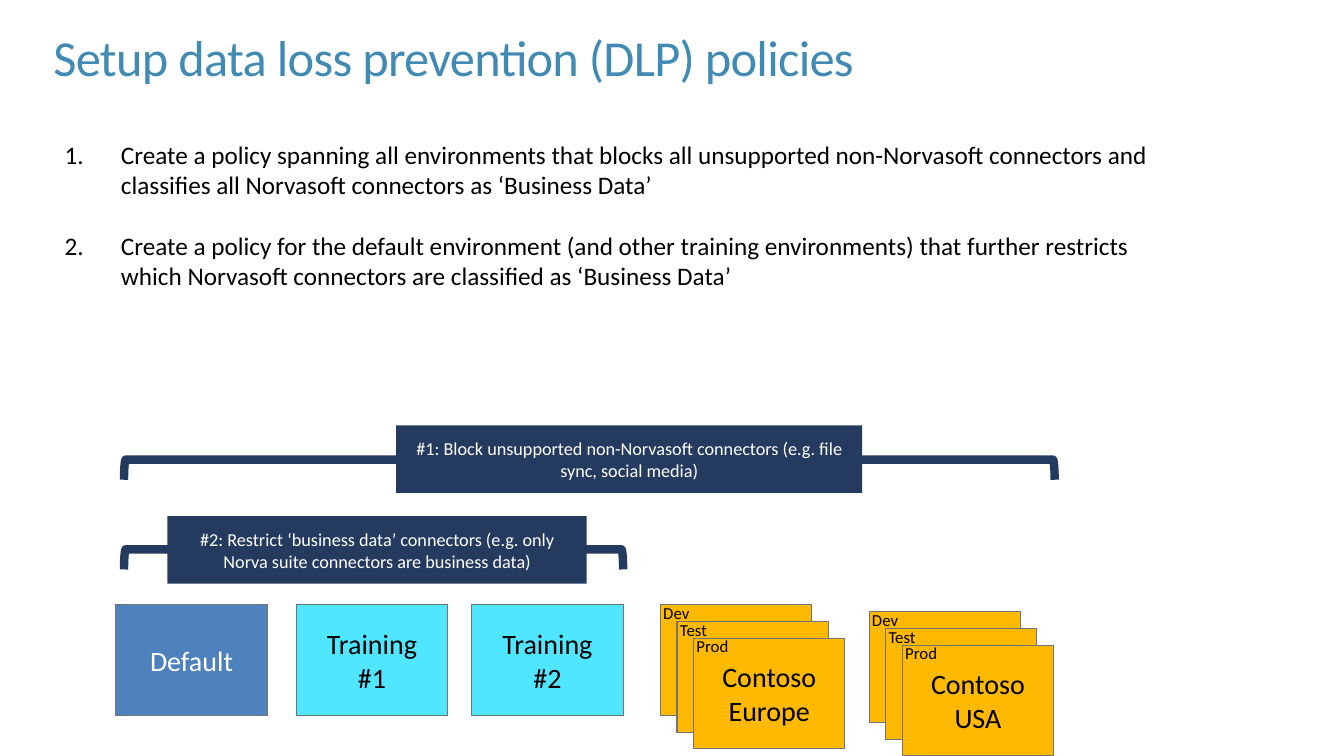
from lxml.etree import SubElement
from pptx import Presentation
from pptx.dml.color import RGBColor
from pptx.enum.shapes import MSO_SHAPE
from pptx.enum.text import MSO_ANCHOR, PP_ALIGN
from pptx.oxml.ns import qn
from pptx.util import Inches, Pt

FONT = "Calibri"
BLACK, WHITE, GREY = "000000", "FFFFFF", "737373"
NAVY, BLUE, CYAN, AMBER = "243A5E", "4F81BD", "50E6FF", "FFB900"
BOX_W, BOX_H = 1.5, 1.1
ROW_TOP = 6
STACK_STEP = 0.165


def rgb(value):
    return RGBColor.from_string(value)


def format_text(p, size, color):
    for r in p.runs:
        r.font.name = FONT
        r.font.size = Pt(size)
        r.font.color.rgb = rgb(color)


def set_margins(tf, x, y):
    tf.margin_left = tf.margin_right = Inches(x)
    tf.margin_top = tf.margin_bottom = Inches(y)


def add_title(s, text):
    title = s.shapes.title
    title.left, title.top = Inches(0.53), Inches(0.25)
    title.width, title.height = Inches(12.35), Inches(0.61)
    tf = title.text_frame
    tf.text = text
    tf.vertical_anchor = MSO_ANCHOR.MIDDLE
    set_margins(tf, 0, 0)
    p = tf.paragraphs[0]
    p.alignment = PP_ALIGN.LEFT
    format_text(p, 36, "418AB3")
    p.runs[0].font._element.set("spc", "-50")


def add_text(s, x, y, w, h):
    tf = s.shapes.add_textbox(Inches(x), Inches(y), Inches(w), Inches(h)).text_frame
    tf.word_wrap = True
    return tf


def add_numbered_list(s, items):
    tf = add_text(s, 0.64, 1.38, 10.78, 1.82)
    set_margins(tf, 0, 0)
    for i, item in enumerate(items):
        p = tf.add_paragraph() if i else tf.paragraphs[0]
        p.text = item
        pPr = p._p.get_or_add_pPr()
        pPr.set("marL", str(Inches(0.56)))
        pPr.set("indent", str(-Inches(0.56)))
        SubElement(pPr, qn("a:buFont"), typeface="+mj-lt")
        SubElement(pPr, qn("a:buAutoNum"), type="arabicPeriod")
        if i:
            p.space_before = Pt(22)
        format_text(p, 18, BLACK)


def add_box(s, x, y, fill, text="", color=BLACK, w=BOX_W, h=BOX_H, size=20, line=GREY):
    sp = s.shapes.add_shape(MSO_SHAPE.RECTANGLE, Inches(x), Inches(y), Inches(w), Inches(h))
    sp.shadow.inherit = False
    sp.fill.solid()
    sp.fill.fore_color.rgb = rgb(fill)
    if line:
        sp.line.color.rgb = rgb(line)
        sp.line.width = Pt(0.75)
    else:
        sp.line.fill.background()
    if text:
        tf = sp.text_frame
        tf.text = text
        tf.word_wrap = True
        tf.vertical_anchor = MSO_ANCHOR.MIDDLE
        set_margins(tf, 0.2, 0.16)
        tf.paragraphs[0].alignment = PP_ALIGN.CENTER
        format_text(tf.paragraphs[0], size, color)


def add_stack(s, x, y, region):
    stages = [(stage, i * STACK_STEP) for i, stage in enumerate(("Dev", "Test", "Prod"))]
    for stage, shift in stages:
        add_box(s, x + shift, y + shift, AMBER, region if stage == "Prod" else "")
    for stage, shift in stages:
        tf = add_text(s, x + shift - 0.07, y + shift - 0.07, BOX_W, BOX_H)
        tf.text = stage
        format_text(tf.paragraphs[0], 12, BLACK)


def add_bracket(s, left, middle, span):
    # A left bracket turned a quarter so that it opens downwards
    depth = 0.2
    sp = s.shapes.add_shape(
        MSO_SHAPE.LEFT_BRACKET, Inches(left + (span - depth) / 2), Inches(middle - span / 2),
        Inches(depth), Inches(span))
    sp.rotation = 90
    sp.shadow.inherit = False
    sp.fill.background()
    sp.line.color.rgb = rgb(NAVY)
    sp.line.width = Pt(6)


def main():
    prs = Presentation()
    prs.slide_width, prs.slide_height = Inches(13.33), Inches(7.5)
    s = prs.slides.add_slide(prs.slide_layouts[5])

    # Title and steps
    add_title(s, "Setup data loss prevention (DLP) policies")
    add_numbered_list(s, [
        "Create a policy spanning all environments that blocks all unsupported "
        "non-Norvasoft connectors and classifies all Norvasoft connectors as ‘Business Data’",
        "Create a policy for the default environment (and other training environments) "
        "that further restricts which Norvasoft connectors are classified as ‘Business Data’",
    ])

    # Environments
    add_box(s, 1.15, ROW_TOP, BLUE, "Default", WHITE)
    add_box(s, 2.94, ROW_TOP, CYAN, "Training #1")
    add_box(s, 4.68, ROW_TOP, CYAN, "Training #2")
    add_stack(s, 6.55, ROW_TOP, "Contoso Europe")
    add_stack(s, 8.62, ROW_TOP + 0.07, "Contoso USA")

    # Policy scopes
    add_bracket(s, 1.23, 4.66, 9.23)
    add_bracket(s, 1.23, 5.55, 4.95)
    policies = [
        (3.93, 4.22, 4.62, "#1: Block unsupported non-Norvasoft connectors (e.g. "
                           "file sync, social media)"),
        (1.66, 5.12, 4.16, "#2: Restrict ‘business data’ connectors (e.g. only "
                           "Norva suite connectors are business data)"),
    ]
    for x, y, w, text in policies:
        add_box(s, x, y, NAVY, text, WHITE, w=w, h=0.67, size=13, line=None)

    prs.save("out.pptx")


if __name__ == "__main__":
    main()
